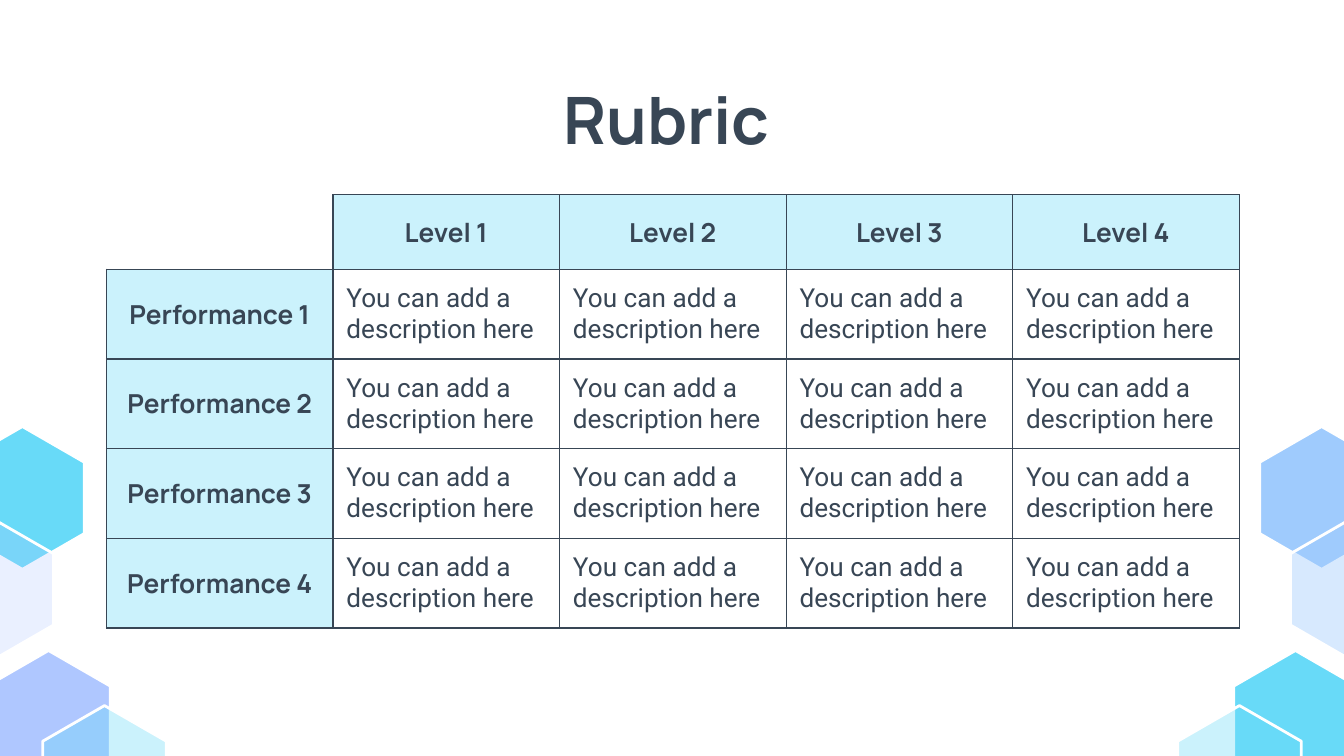
"""Build a rubric slide with a level table and hexagon corners."""
from dataclasses import dataclass

from lxml.etree import SubElement
from pptx import Presentation
from pptx.dml.color import RGBColor
from pptx.enum.text import MSO_ANCHOR, PP_ALIGN
from pptx.oxml.ns import qn
from pptx.slide import Slide
from pptx.table import _Cell
from pptx.text.text import TextFrame
from pptx.util import Pt


@dataclass(frozen=True)
class Theme:
    ink: str = "384655"
    white: str = "FFFFFF"
    cyan: str = "68DAF8"
    lilac: str = "AFC7FF"
    sky: str = "9FCBFD"
    head_font: str = "Manrope"
    body_font: str = "Roboto"
    title_size: float = 35
    cell_size: float = 14
    tint: int = 34
    border: float = 0.75
    outline: float = 1.5


@dataclass(frozen=True)
class Tone:
    color: str
    opacity: int = 100


@dataclass(frozen=True)
class Hexagon:
    center: float
    top: float
    left_tone: Tone
    right_tone: Tone


THEME = Theme()
WIDTH, HEIGHT = 720, 405
HEX_W, HEX_H = 66.25, 76.5
TABLE_X, TABLE_Y, COL_W, ROW_H = 57, 104.25, 121.4, 40
INSET = 7.2
LEVELS = [f"Level {n}" for n in range(1, 5)]
PERFORMANCES = [f"Performance {n}" for n in range(1, 5)]
DESCRIPTION = "You can add a description here"
PALE_CYAN = Tone(THEME.cyan, THEME.tint)
HEXAGONS = [
    Hexagon(12, 228.5, Tone(THEME.cyan), Tone(THEME.sky)),
    Hexagon(26, 348.5, Tone(THEME.lilac), Tone(THEME.cyan)),
    Hexagon(-4.5, 277.5, Tone(THEME.lilac, 25), Tone(THEME.sky, 41)),
    Hexagon(56, 378, PALE_CYAN, PALE_CYAN),
]


def paint(fill, props, tone: Tone) -> None:
    """Fill an object with a tone, adding opacity when needed."""
    fill.solid()
    fill.fore_color.rgb = RGBColor.from_string(tone.color)
    if tone.opacity < 100:
        clr = props.find(qn("a:solidFill"))[0]
        SubElement(clr, qn("a:alpha"), val=str(tone.opacity * 1000))


def draw_hexagon(s: Slide, center: float, top: float, tone: Tone) -> None:
    """Draw one pointed-top hexagon with a white outline."""
    half = HEX_W / 2
    steps = [(half, 0.25), (half, 0.75), (0, 1), (-half, 0.75), (-half, 0.25)]
    fb = s.shapes.build_freeform(Pt(center), Pt(top))
    fb.add_line_segments([(Pt(center + dx), Pt(top + HEX_H * f)) for dx, f in steps])
    sp = fb.convert_to_shape()
    sp.shadow.inherit = False
    paint(sp.fill, sp._element.spPr, tone)
    sp.line.color.rgb = RGBColor.from_string(THEME.white)
    sp.line.width = Pt(THEME.outline)


def write(tf: TextFrame, text: str, font: str, size: float, bold: bool, align: PP_ALIGN) -> None:
    """Write a single-run paragraph."""
    p = tf.paragraphs[0]
    p.alignment = align
    r = p.add_run()
    r.text = text
    r.font.name = font
    r.font.size = Pt(size)
    r.font.bold = bold
    r.font.color.rgb = RGBColor.from_string(THEME.ink)


def draw_title(s: Slide, text: str) -> None:
    """Draw the centred slide title."""
    tf = s.shapes.add_textbox(Pt(TABLE_X), Pt(35), Pt(5 * COL_W), Pt(45)).text_frame
    tf.word_wrap = True
    tf.margin_left = tf.margin_right = tf.margin_top = tf.margin_bottom = Pt(INSET)
    write(tf, text, THEME.head_font, THEME.title_size, True, PP_ALIGN.CENTER)


def set_borders(cell: _Cell, hidden: str = "") -> None:
    """Draw the cell borders, leaving out the hidden sides."""
    tc_pr = cell._tc.get_or_add_tcPr()
    for side in "LRTB":
        ln = SubElement(tc_pr, qn(f"a:ln{side}"), w=str(Pt(THEME.border)))
        if side in hidden:
            SubElement(ln, qn("a:noFill"))
        else:
            SubElement(SubElement(ln, qn("a:solidFill")), qn("a:srgbClr"), val=THEME.ink)


def fill_cell(cell: _Cell, text: str, heading: bool) -> None:
    """Style one labelled cell as a heading or a description."""
    set_borders(cell)
    cell.vertical_anchor = MSO_ANCHOR.MIDDLE
    cell.margin_left = cell.margin_right = cell.margin_top = cell.margin_bottom = Pt(INSET)
    if heading:
        paint(cell.fill, cell._tc.tcPr, PALE_CYAN)
        write(cell.text_frame, text, THEME.head_font, THEME.cell_size, True, PP_ALIGN.CENTER)
    else:
        cell.fill.background()
        write(cell.text_frame, text, THEME.body_font, THEME.cell_size, False, PP_ALIGN.LEFT)


def draw_table(s: Slide) -> None:
    """Draw the rubric table."""
    rows = [["", *LEVELS]] + [[name] + [DESCRIPTION] * len(LEVELS) for name in PERFORMANCES]
    n_rows, n_cols = len(rows), len(rows[0])
    table = s.shapes.add_table(n_rows, n_cols, Pt(TABLE_X), Pt(TABLE_Y),
                               Pt(n_cols * COL_W), Pt(n_rows * ROW_H)).table
    table.first_row = table.horz_banding = False
    for col in table.columns:
        col.width = Pt(COL_W)
    for i, row in enumerate(rows):
        table.rows[i].height = Pt(ROW_H)
        for j, text in enumerate(row):
            cell = table.cell(i, j)
            if text:
                fill_cell(cell, text, i == 0 or j == 0)
            else:
                set_borders(cell, hidden="LT")
                cell.fill.background()


def main() -> None:
    """Build and save the slide."""
    prs = Presentation()
    prs.slide_width, prs.slide_height = Pt(WIDTH), Pt(HEIGHT)
    s = prs.slides.add_slide(prs.slide_layouts[6])
    for h in HEXAGONS:
        draw_hexagon(s, h.center, h.top, h.left_tone)
        draw_hexagon(s, WIDTH - h.center, h.top, h.right_tone)
    draw_title(s, "Rubric ")
    draw_table(s)
    prs.save("out.pptx")


if __name__ == "__main__":
    main()
